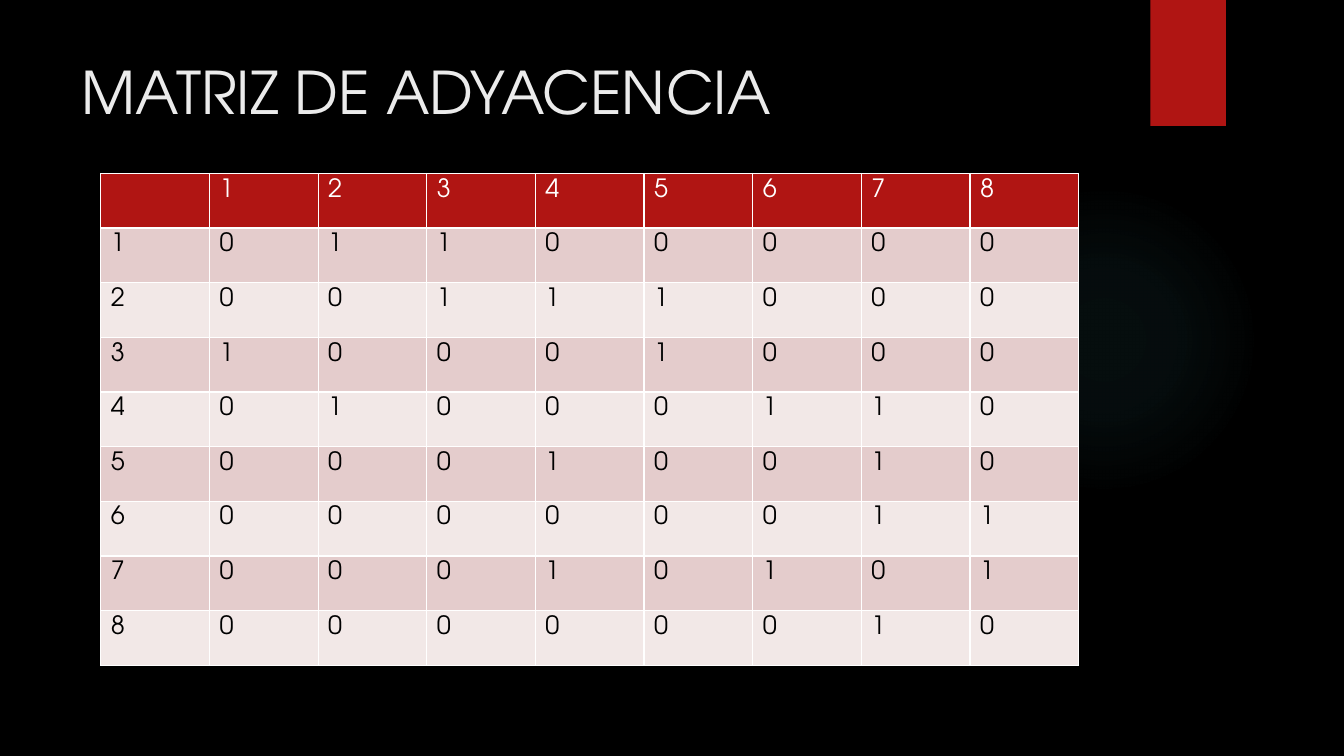
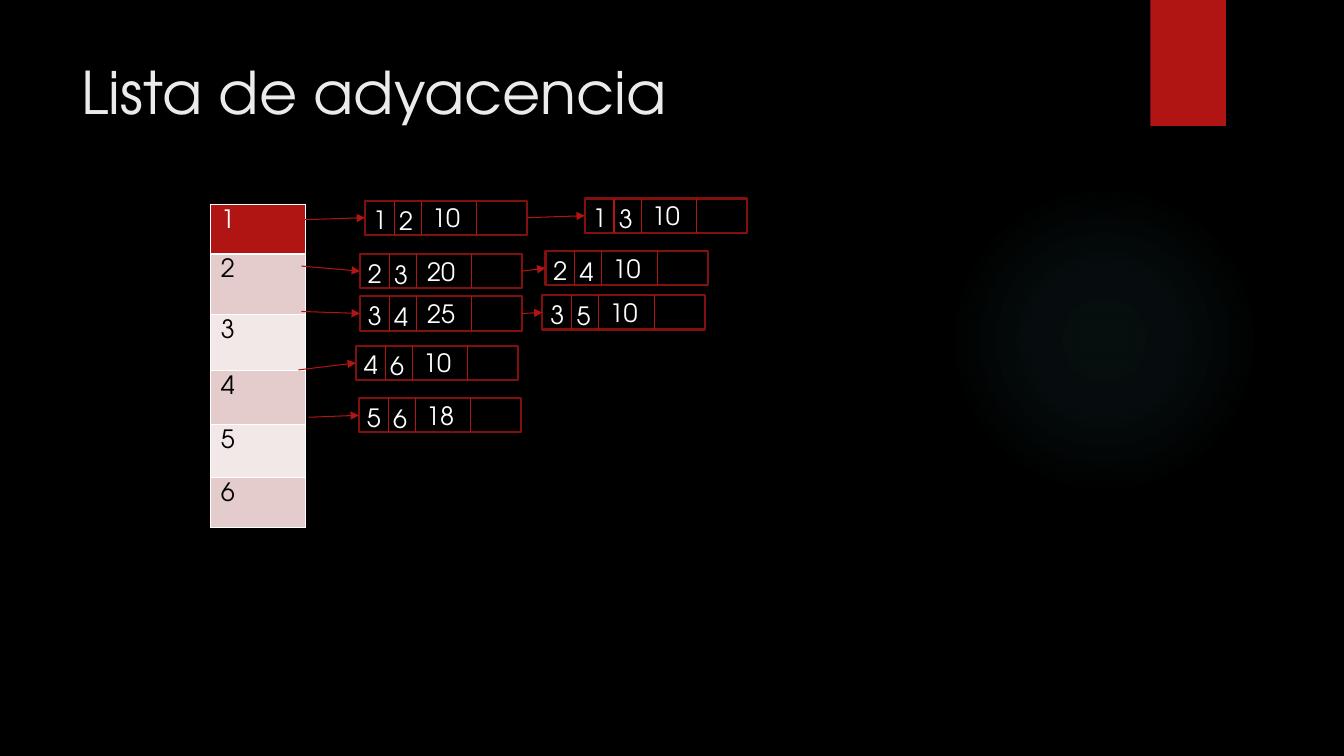
from dataclasses import dataclass
from typing import Any

from lxml import etree
from pptx import Presentation
from pptx import util as u
from pptx.dml.color import RGBColor
from pptx.enum import shapes, text
from pptx.oxml import parse_xml
from pptx.oxml.ns import nsdecls, qn

PX = 9144
BLACK, WHITE, TITLE = "000000", "FFFFFF", "EBEBEB"
RED, DARK_RED, GLOW = "B01513", "82100E", "50B9C1"
BANDS = ("E4CCCC", "F2E8E7")
BODY = {"name": "TeX Gyre Adventor", "size": u.Pt(18)}
HEADING = {**BODY, "size": u.Pt(42)}
CENTERED = {"vertical_anchor": text.MSO_ANCHOR.MIDDLE, "word_wrap": True}
FITTED = {"word_wrap": False, "auto_size": text.MSO_AUTO_SIZE.SHAPE_TO_FIT_TEXT}

NODE_W, NODE_H = 161, 34
DIVIDERS = (29, 56, 111)
ORIGIN_LABEL, TARGET_LABEL = (-2, -1), (24, 0)
LABEL_W, LABEL_H = 33, 40
LEFT_SIDE, RIGHT_SIDE = 1, 3

VERTICES = [str(n) for n in range(1, 9)]
ADJACENCY = (
    "01100000",
    "00111000",
    "10001000",
    "01000110",
    "00010010",
    "00000011",
    "00010101",
    "00000010",
)
LIST_ROW_HEIGHTS = (49, 60, 56, 53, 53, 49)


@dataclass(frozen=True)
class Edge:
    x: int
    y: int
    origin: str
    target: str
    weight: str


@dataclass(frozen=True)
class Chain:
    start: tuple[int, int]
    edges: tuple[Edge, ...]


CHAINS = (
    Chain((300, 218), (Edge(362, 199, "1", "2", "10"), Edge(580, 197, "1", "3", "10"))),
    Chain((299, 264), (Edge(357, 252, "2", "3", "20"), Edge(541, 249, "2", "4", "10"))),
    Chain((299, 309), (Edge(357, 294, "3", "4", "25"), Edge(538, 293, "3", "5", "10"))),
    Chain((296, 367), (Edge(353, 343, "4", "6", "10"),)),
    Chain((306, 414), (Edge(356, 395, "5", "6", "18"),)),
)


def px(*lengths: int) -> list[int]:
    return [u.Emu(length * PX) for length in lengths]


def rgb(color: str) -> RGBColor:
    return RGBColor.from_string(color)


def apply(target: Any, values: dict[str, Any]) -> None:
    for key, value in values.items():
        setattr(target, key, value)


def write(frame: Any, words: str, color: str, font: dict[str, Any] = BODY,
          align: Any = None) -> None:
    paragraph = frame.paragraphs[0]
    paragraph.alignment = align
    run = paragraph.add_run()
    run.text = words
    apply(run.font, font)
    run.font.color.rgb = rgb(color)


def add_label(slide: Any, x: int, y: int, width: int, height: int, words: str,
              color: str, font: dict[str, Any], layout: dict[str, Any]) -> None:
    frame = slide.shapes.add_textbox(*px(x, y, width, height)).text_frame
    apply(frame, layout)
    write(frame, words, color, font)


def add_plain(slide: Any, preset: Any, x: int, y: int, width: int, height: int) -> Any:
    shape = slide.shapes.add_shape(preset, *px(x, y, width, height))
    shape.shadow.inherit = False
    shape.fill.background()
    shape.line.fill.background()
    return shape


def add_glow(slide: Any) -> None:
    glow = add_plain(slide, shapes.MSO_SHAPE.OVAL, 941, 183, 308, 308)
    glow.fill.gradient()
    properties = glow._element.spPr
    stops = "".join(
        f'<a:gs pos="{pos}000"><a:srgbClr val="{GLOW}">'
        f'<a:alpha val="{alpha}000"/></a:srgbClr></a:gs>'
        for pos, alpha in ((0, 7), (36, 6), (69, 0))
    )
    gradient = parse_xml(
        f'<a:gradFill {nsdecls("a")} rotWithShape="1"><a:gsLst>{stops}</a:gsLst>'
        '<a:path path="circle"><a:fillToRect l="50000" t="50000" r="50000" b="50000"/>'
        "</a:path></a:gradFill>"
    )
    properties.replace(properties.find(qn("a:gradFill")), gradient)


def add_ribbon(slide: Any) -> None:
    ribbon = add_plain(slide, shapes.MSO_SHAPE.RECTANGLE, 1141, 0, 75, 125)
    ribbon.fill.solid()
    ribbon.fill.fore_color.rgb = rgb(RED)
    ribbon._element.spPr.find(qn("a:effectLst")).append(parse_xml(
        f'<a:outerShdw {nsdecls("a")} blurRad="38100" dist="25400" dir="5400000" '
        f'rotWithShape="0"><a:srgbClr val="{BLACK}"><a:alpha val="45000"/>'
        "</a:srgbClr></a:outerShdw>"
    ))


def start_slide(deck: Any, title: str) -> Any:
    slide = deck.slides.add_slide(deck.slide_layouts[6])
    add_glow(slide)
    add_ribbon(slide)
    add_label(slide, 71, 50, 1029, 153, title, TITLE, HEADING, {"word_wrap": True})
    return slide


def add_borders(cell: Any) -> None:
    properties = cell._tc.get_or_add_tcPr()
    for side in "LRTB":
        properties.append(parse_xml(
            f'<a:ln{side} {nsdecls("a")} w="12700"><a:solidFill>'
            f'<a:srgbClr val="{WHITE}"/></a:solidFill></a:ln{side}>'
        ))


def add_grid(slide: Any, x: int, y: int, width: int, height: int,
             rows: list[list[str]]) -> Any:
    grid = slide.shapes.add_table(len(rows), len(rows[0]), *px(x, y, width, height)).table
    grid.horz_banding = False
    for r, row in enumerate(rows):
        for c, value in enumerate(row):
            cell = grid.cell(r, c)
            add_borders(cell)
            cell.fill.solid()
            cell.fill.fore_color.rgb = rgb(BANDS[(r - 1) % 2] if r else RED)
            if value:
                write(cell.text_frame, value, BLACK if r else WHITE)
    return grid


def add_line(slide: Any, x1: int, y1: int, x2: int, y2: int) -> Any:
    line = slide.shapes.add_connector(shapes.MSO_CONNECTOR.STRAIGHT, *px(x1, y1, x2, y2))
    line.line.color.rgb = rgb(RED)
    line.line.width = u.Pt(0.75)
    etree.SubElement(line._element.spPr, qn("a:effectLst"))
    return line


def add_edge(slide: Any, edge: Edge) -> Any:
    node = add_plain(slide, shapes.MSO_SHAPE.RECTANGLE, edge.x, edge.y, NODE_W, NODE_H)
    node.line.color.rgb = rgb(DARK_RED)
    node.line.width = u.Pt(1.5)
    apply(node.text_frame, CENTERED)
    write(node.text_frame, edge.weight, WHITE, align=text.PP_ALIGN.CENTER)
    for offset in DIVIDERS:
        add_line(slide, edge.x + offset, edge.y, edge.x + offset, edge.y + NODE_H)
    for vertex, (dx, dy) in ((edge.origin, ORIGIN_LABEL), (edge.target, TARGET_LABEL)):
        add_label(slide, edge.x + dx, edge.y + dy, LABEL_W, LABEL_H,
                  vertex, WHITE, BODY, FITTED)
    return node


def add_chain(slide: Any, chain: Chain) -> None:
    previous = None
    for edge in chain.edges:
        node = add_edge(slide, edge)
        arrow = add_line(slide, *chain.start, edge.x, edge.y + NODE_H // 2)
        if previous is not None:
            arrow.begin_connect(previous, RIGHT_SIDE)
        arrow.end_connect(node, LEFT_SIDE)
        etree.SubElement(arrow.line._get_or_add_ln(), qn("a:tailEnd"), type="triangle")
        previous = node


def build_matrix(deck: Any) -> None:
    slide = start_slide(deck, "MATRIZ DE ADYACENCIA")
    rows = [["", *VERTICES]]
    rows += [[vertex, *links] for vertex, links in zip(VERTICES, ADJACENCY)]
    add_grid(slide, 100, 172, 970, 488, rows)


def build_list(deck: Any) -> None:
    slide = start_slide(deck, "Lista de adyacencia")
    heads = [[vertex] for vertex in VERTICES[:len(LIST_ROW_HEIGHTS)]]
    grid = add_grid(slide, 209, 203, 94, sum(LIST_ROW_HEIGHTS), heads)
    for row, height in zip(grid.rows, px(*LIST_ROW_HEIGHTS)):
        row.height = height
    for chain in CHAINS:
        add_chain(slide, chain)


def main() -> None:
    deck = Presentation()
    deck.slide_width, deck.slide_height = px(1333, 750)
    background = deck.slide_master.background.fill
    background.solid()
    background.fore_color.rgb = rgb(BLACK)
    build_matrix(deck)
    build_list(deck)
    deck.save("out.pptx")


if __name__ == "__main__":
    main()
